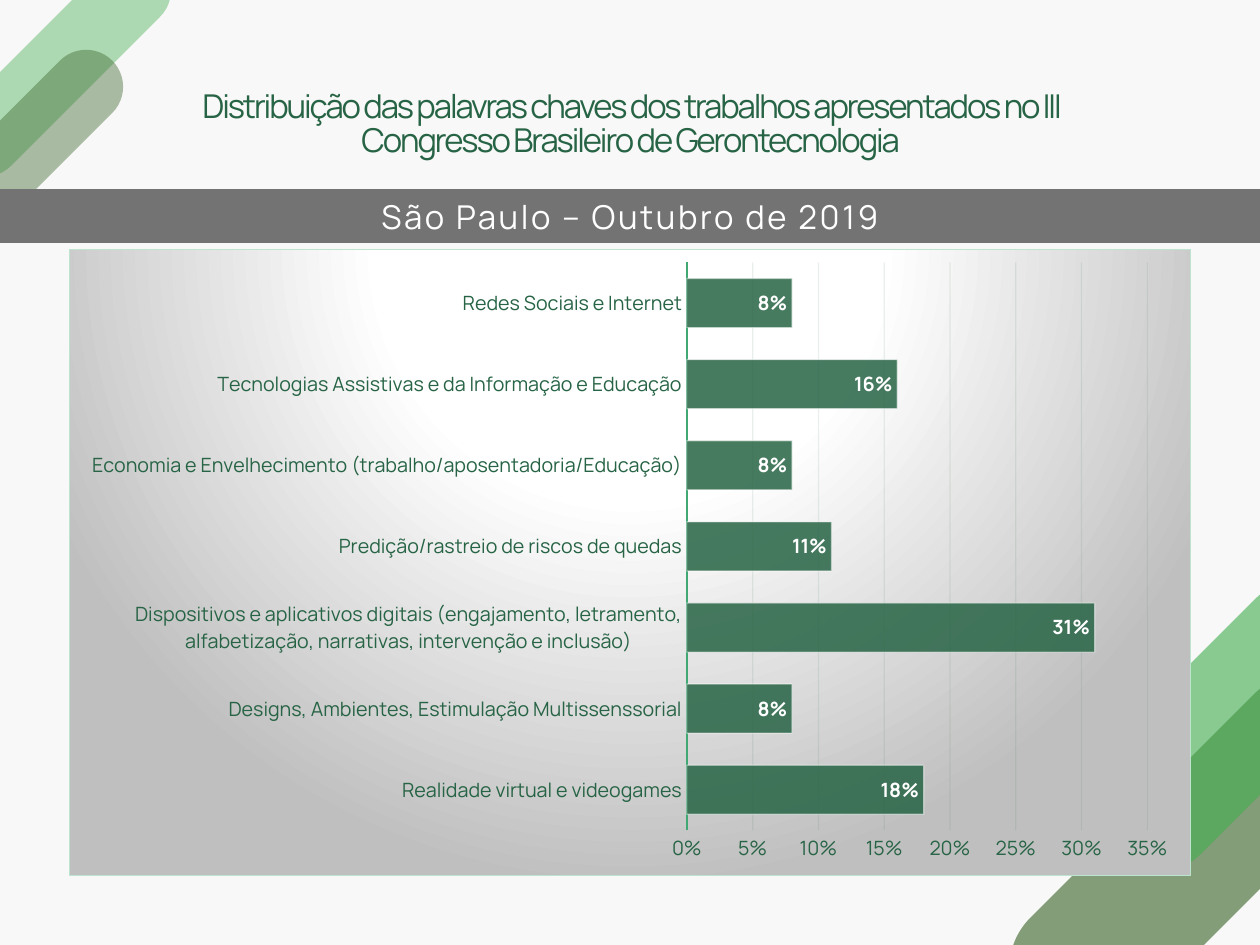
import pptx
import pptx.util
import pptx.chart.data
import pptx.oxml
from pptx.dml.color import RGBColor
from pptx.enum.chart import XL_CHART_TYPE, XL_LABEL_POSITION, XL_TICK_MARK
from pptx.enum.shapes import MSO_SHAPE
from pptx.enum.text import MSO_ANCHOR, PP_ALIGN
from pptx.oxml.ns import nsdecls, qn

W, H = 1260, 945
PX = 9753600 / W
FONT = "Manrope"
COLORS = {
    "back": "F8F8F8", "band": "737373", "white": "FFFFFF", "text": "276445",
    "olive": "3E662C", "green": "45AF53", "axis": "41A773", "grid": "2C714E",
    "border": "BCE5D0", "shade": "BFBFBF",
}
KEYWORDS = [
    ("Realidade virtual e videogames", 0.18),
    ("Designs, Ambientes, Estimulação Multissenssorial", 0.08),
    ("Dispositivos e aplicativos digitais (engajamento, letramento, "
     "alfabetização, narrativas, intervenção e inclusão)", 0.31),
    ("Predição/rastreio de riscos de quedas", 0.11),
    ("Economia e Envelhecimento (trabalho/aposentadoria/Educação)", 0.08),
    ("Tecnologias Assistivas e da Informação e Educação", 0.16),
    ("Redes Sociais e Internet", 0.08),
]


def px(*values):
    return [pptx.util.Emu(round(v * PX)) for v in values]


def rgb(name):
    return RGBColor.from_string(COLORS[name])


def set_alpha(fill, percent):
    """Make a solid fill partly transparent."""
    clr = fill.fore_color._xFill.find(qn("a:srgbClr"))
    alpha = clr.makeelement(qn("a:alpha"), {"val": str(percent * 1000)})
    clr.append(alpha)


def set_font(font, size=12, color="text", bold=False):
    font.name = FONT
    font.size = pptx.util.Pt(size)
    font.bold = bold
    font.color.rgb = rgb(color)


def set_line(line, color, width, alpha=100):
    line.color.rgb = rgb(color)
    line.width = pptx.util.Pt(width)
    if alpha < 100:
        set_alpha(line.fill, alpha)


def write(tf, text, size=20, color="text", tracking=0, spacing=1.0):
    """Put one centred paragraph in a frame; tracking is in points."""
    tf.word_wrap = True
    tf.vertical_anchor = MSO_ANCHOR.MIDDLE
    p = tf.paragraphs[0]
    p.alignment = PP_ALIGN.CENTER
    p.line_spacing = spacing
    r = p.add_run()
    r.text = text
    set_font(r.font, size, color)
    r.font._element.set("spc", str(round(tracking * 100)))


class Deck:
    def __init__(self):
        self.prs = pptx.Presentation()
        self.prs.slide_width, self.prs.slide_height = px(W, H)
        self.s = None

    def slide(self, color):
        self.s = self.prs.slides.add_slide(self.prs.slide_layouts[6])
        self.s.background.fill.solid()
        self.s.background.fill.fore_color.rgb = rgb(color)

    def shape(self, kind, box, color, alpha=100):
        sp = self.s.shapes.add_shape(kind, *px(*box))
        sp.shadow.inherit = False
        sp.fill.solid()
        sp.fill.fore_color.rgb = rgb(color)
        if alpha < 100:
            set_alpha(sp.fill, alpha)
        sp.line.fill.background()
        return sp

    def capsule(self, box, color, alpha):
        sp = self.shape(MSO_SHAPE.ROUNDED_RECTANGLE, box, color, alpha)
        sp.adjustments[0] = 0.5
        sp.rotation = 315

    def band(self, box, text, **style):
        sp = self.shape(MSO_SHAPE.RECTANGLE, box, "band")
        write(sp.text_frame, text, **style)

    def text(self, box, text, **style):
        write(self.s.shapes.add_textbox(*px(*box)).text_frame, text, **style)

    def bar_chart(self, box, rows, plot):
        """Draw horizontal bars; plot is the inner plot area on the slide."""
        data = pptx.chart.data.CategoryChartData(number_format="0%")
        data.categories = [name for name, _ in rows]
        data.add_series("Series 1", [value for _, value in rows])
        chart = self.s.shapes.add_chart(
            XL_CHART_TYPE.BAR_CLUSTERED, *px(*box), data).chart
        chart.has_legend = chart.has_title = False
        set_font(chart.font, 10)
        self.style_axes(chart)
        self.style_bars(chart.plots[0])
        self.chart_area(chart)
        self.place_plot(chart, box, plot)

    def style_axes(self, chart):
        for axis in (chart.category_axis, chart.value_axis):
            axis.major_tick_mark = axis.minor_tick_mark = XL_TICK_MARK.NONE
            set_font(axis.tick_labels.font)
        set_line(chart.category_axis.format.line, "axis", 1.5)
        axis = chart.value_axis
        axis.minimum_scale, axis.maximum_scale, axis.major_unit = 0, 0.35, 0.05
        axis.tick_labels.number_format = "0%"
        axis.tick_labels.number_format_is_linked = False
        axis.format.line.fill.background()
        set_line(axis.major_gridlines.format.line, "grid", 0.75, 10)

    def style_bars(self, plot):
        plot.gap_width = 65
        plot.vary_by_categories = False
        bars = plot.series[0]
        bars.format.fill.solid()
        bars.format.fill.fore_color.rgb = rgb("text")
        set_alpha(bars.format.fill, 85)
        set_line(bars.format.line, "white", 0.75, 50)
        labels = bars.data_labels
        labels.show_value = True
        labels.position = XL_LABEL_POSITION.INSIDE_END
        labels.number_format = "0%"
        labels.number_format_is_linked = False
        set_font(labels.font, color="white", bold=True)

    def chart_area(self, chart):
        """Fill the chart with a radial gradient centred above it."""
        stops = "".join(
            f'<a:gs pos="{pos * 1000}"><a:srgbClr val="{COLORS[c]}"/></a:gs>'
            for pos, c in ((0, "white"), (39, "white"), (100, "shade")))
        area = pptx.oxml.parse_xml(
            f'<c:spPr {nsdecls("c", "a")}><a:gradFill><a:gsLst>{stops}</a:gsLst>'
            '<a:path path="circle"><a:fillToRect l="50000" t="-80000" r="50000"'
            ' b="180000"/></a:path></a:gradFill><a:ln w="9525"><a:solidFill>'
            f'<a:srgbClr val="{COLORS["border"]}"/></a:solidFill></a:ln></c:spPr>')
        chart._chartSpace.find(qn("c:chart")).addnext(area)

    def place_plot(self, chart, box, plot):
        left, top, width, height = box
        parts = {"x": (plot[0] - left) / width, "y": (plot[1] - top) / height,
                 "w": plot[2] / width, "h": plot[3] / height}
        modes = '<c:xMode val="edge"/><c:yMode val="edge"/>'
        sizes = "".join(f'<c:{k} val="{v:.4f}"/>' for k, v in parts.items())
        layout = pptx.oxml.parse_xml(
            f'<c:layout {nsdecls("c")}><c:manualLayout><c:layoutTarget val="inner"/>'
            f'{modes}{sizes}</c:manualLayout></c:layout>')
        area = chart._chartSpace.find(".//" + qn("c:plotArea"))
        for old in area.findall(qn("c:layout")):
            area.remove(old)
        area.insert(0, layout)


def main():
    deck = Deck()
    deck.slide("back")
    for box, color, alpha in (
            ((963, 785, 459, 142), "olive", 62),
            ((1049, 655, 359, 142), "green", 62),
            ((-83, 28, 285, 74), "green", 42),
            ((-84, 105, 230, 74), "olive", 42)):
        deck.capsule(box, color, alpha)
    deck.band((0, 189, W, 54), "São Paulo – Outubro de 2019",
              color="white", tracking=1.6)
    deck.text((161, 68, 939, 115),
              "Distribuição das palavras chaves dos trabalhos apresentados "
              "no III Congresso Brasileiro de Gerontecnologia",
              tracking=-1.3, spacing=0.87)
    deck.bar_chart((69, 249, 1122, 627), KEYWORDS, plot=(687, 262, 461, 569))
    deck.prs.save("out.pptx")


if __name__ == "__main__":
    main()
